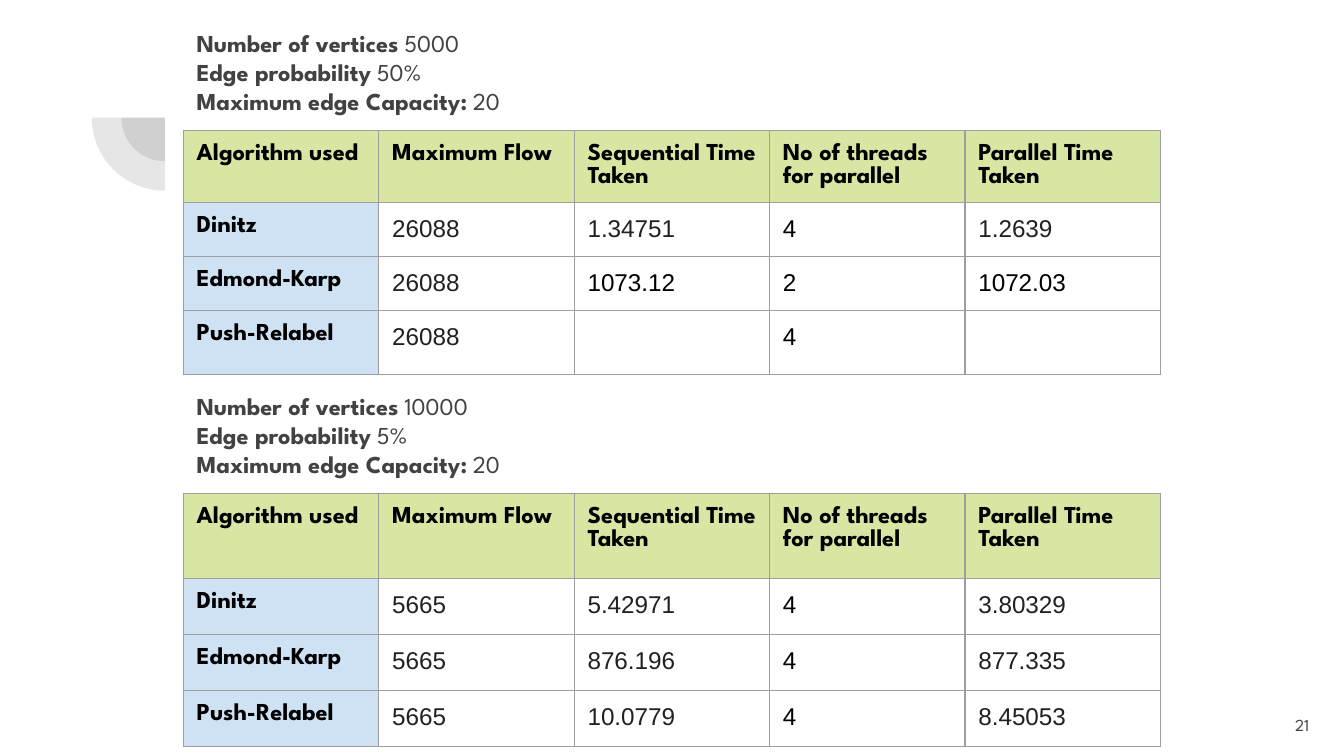
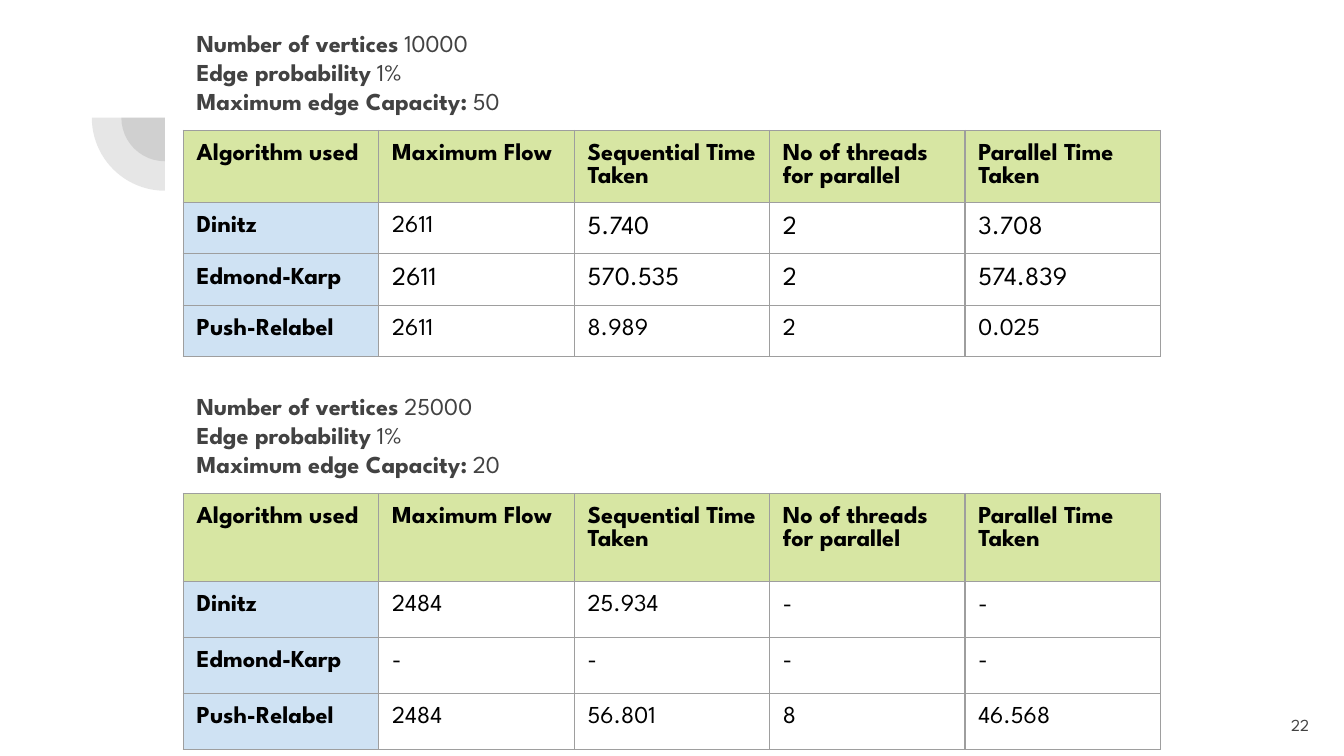
from lxml import etree
from pptx import Presentation
from pptx.dml.color import RGBColor
from pptx.enum import shapes, text
from pptx.oxml import ns
from pptx.util import Pt

BLACK = RGBColor(0x00, 0x00, 0x00)
INK = RGBColor(0x21, 0x21, 0x21)
GREY = RGBColor(0x42, 0x42, 0x42)
GREEN = RGBColor(0xD7, 0xE6, 0xA3)
BLUE = RGBColor(0xCF, 0xE2, 0xF3)
BORDER = RGBColor(0x9E, 0x9E, 0x9E)
HEAD_FONT = "League Spartan"
LEFT, COL_W, INSET = 98.2, 104.7, 7.2
PIE_X, PIE_Y = 88.4, 63
HEADER = ["Algorithm used", "Maximum Flow", "Sequential Time Taken",
          "No of threads\nfor parallel", "Parallel Time Taken"]
LABELS = ["Number of vertices", "Edge probability", "Maximum edge Capacity:"]
ALGORITHMS = ["Dinitz", "Edmond-Karp", "Push-Relabel"]
TOPS = [7.9, 202.3]

slides = [
    {"number": "21", "font": "Arial", "ink": INK, "big": [],
     "black": ["4", "2", "1073.12", "1072.03"],
     "runs": [
         {"setup": ["5000", "50%", "20"], "heights": [38.6, 28.9, 28.9, 34.3],
          "rows": [["26088", "1.34751", "4", "1.2639"],
                   ["26088", "1073.12", "2", "1072.03"],
                   ["26088", "", "4", ""]]},
         {"setup": ["10000", "5%", "20"], "heights": [45.5, 30, 30, 30],
          "rows": [["5665", "5.42971", "4", "3.80329"],
                   ["5665", "876.196", "4", "877.335"],
                   ["5665", "10.0779", "4", "8.45053"]]}]},
    {"number": "22", "font": HEAD_FONT, "ink": BLACK, "black": [],
     "big": [(1, 2), (1, 3), (1, 4), (2, 1), (2, 2), (2, 3), (2, 4)],
     "runs": [
         {"setup": ["10000", "1%", "50"], "heights": [38.6, 27.5, 27.5, 27.5],
          "rows": [["2611", "5.740", "2", "3.708"],
                   ["2611", "570.535", "2", "574.839"],
                   ["2611", "8.989", "2", "0.025"]]},
         {"setup": ["25000", "1%", "20"], "heights": [47.2, 30, 30, 30],
          "rows": [["2484", "25.934", "-", "-"],
                   ["-", "-", "-", "-"],
                   ["2484", "56.801", "8", "46.568"]]}]},
]


def style(r, size, color, bold=False, font=HEAD_FONT):
    r.font.size = Pt(size)
    r.font.name = font
    r.font.bold = bold
    r.font.color.rgb = color


def add_box(s, x, y, w, h):
    tf = s.shapes.add_textbox(Pt(x), Pt(y), Pt(w), Pt(h)).text_frame
    tf.word_wrap = True
    tf.margin_left = tf.margin_right = tf.margin_top = tf.margin_bottom = Pt(INSET)
    return tf


prs = Presentation()
prs.slide_width, prs.slide_height = Pt(720), Pt(405)

for page in slides:
    s = prs.slides.add_slide(prs.slide_layouts[6])

    for size in (46.8, 78.4):
        sp = s.shapes.add_shape(shapes.MSO_SHAPE.PIE, Pt(PIE_X - size / 2),
                                Pt(PIE_Y - size / 2), Pt(size), Pt(size))
        sp.adjustments[0], sp.adjustments[1] = 108, 162
        sp.rotation = 270
        sp.shadow.inherit = False
        sp.line.fill.background()
        sp.fill.solid()
        sp.fill.fore_color.rgb = GREY
        color = sp._element.spPr.find(ns.qn("a:solidFill"))[0]
        etree.SubElement(color, ns.qn("a:alpha"), val="13000")

    for top, run in zip(TOPS, page["runs"]):
        heights = run["heights"]
        tbl = s.shapes.add_table(4, 5, Pt(LEFT), Pt(top + 62), Pt(5 * COL_W),
                                 Pt(sum(heights))).table
        tbl.first_row = tbl.horz_banding = False
        for column in tbl.columns:
            column.width = Pt(COL_W)
        for row, height in zip(tbl.rows, heights):
            row.height = Pt(height)

        grid = [HEADER] + [[name] + row for name, row in zip(ALGORITHMS, run["rows"])]
        for i, values in enumerate(grid):
            for j, value in enumerate(values):
                cell = tbl.cell(i, j)
                cell.margin_left = cell.margin_right = Pt(INSET)
                cell.margin_top = cell.margin_bottom = Pt(INSET)
                for side in ("L", "R", "T", "B"):
                    ln = etree.SubElement(cell._tc.get_or_add_tcPr(),
                                          ns.qn("a:ln" + side), w=str(Pt(0.75)))
                    fill = etree.SubElement(ln, ns.qn("a:solidFill"))
                    etree.SubElement(fill, ns.qn("a:srgbClr"), val=str(BORDER))
                label = i == 0 or j == 0
                if label:
                    cell.fill.solid()
                    cell.fill.fore_color.rgb = GREEN if i == 0 else BLUE
                else:
                    cell.fill.background()
                big = run is page["runs"][0] and (i, j) in page["big"]
                size = 14 if big else 13
                ink = BLACK if label or value in page["black"] else page["ink"]
                font = HEAD_FONT if label else page["font"]
                cell.text_frame.text = value
                for p in cell.text_frame.paragraphs:
                    if not value:
                        etree.SubElement(p._p, ns.qn("a:endParaRPr"), sz="1300")
                    if font == HEAD_FONT:
                        p.line_spacing = Pt(size - 1)
                    for r in p.runs:
                        style(r, size, ink, label, font)

        tf = add_box(s, LEFT, top, 236.2, 62)
        tf.auto_size = text.MSO_AUTO_SIZE.SHAPE_TO_FIT_TEXT
        tf.text = "\n".join(LABELS)
        for p, value in zip(tf.paragraphs, run["setup"]):
            p.line_spacing = Pt(15.6)
            style(p.runs[0], 13, GREY, True)
            r = p.add_run()
            r.text = " " + value
            style(r, 13, GREY)

    tf = add_box(s, 665.3, 373, 43.2, 31)
    tf.vertical_anchor = text.MSO_ANCHOR.MIDDLE
    tf.text = page["number"]
    p = tf.paragraphs[0]
    p.alignment = text.PP_ALIGN.RIGHT
    style(p.runs[0], 9, GREY)

prs.save("out.pptx")
